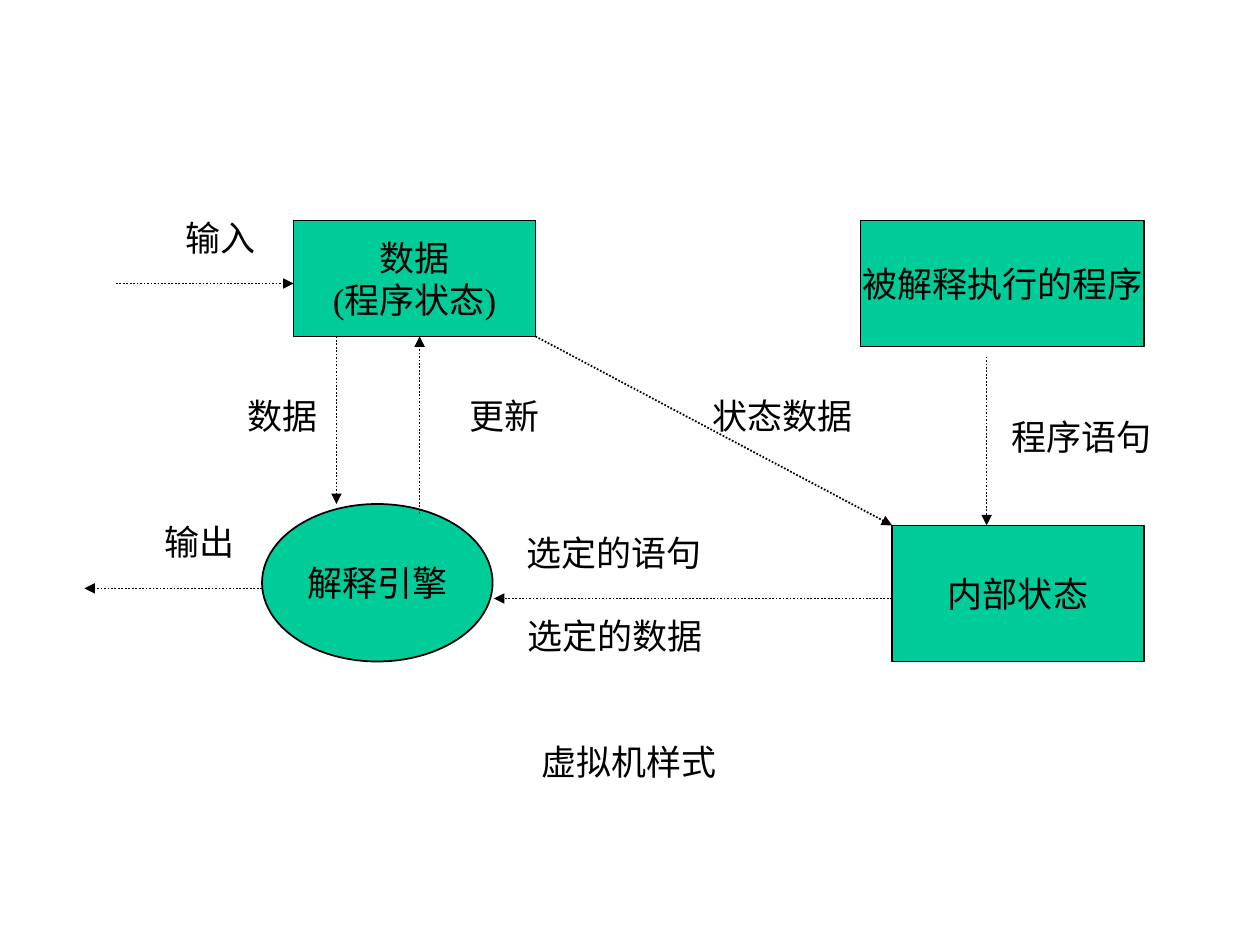
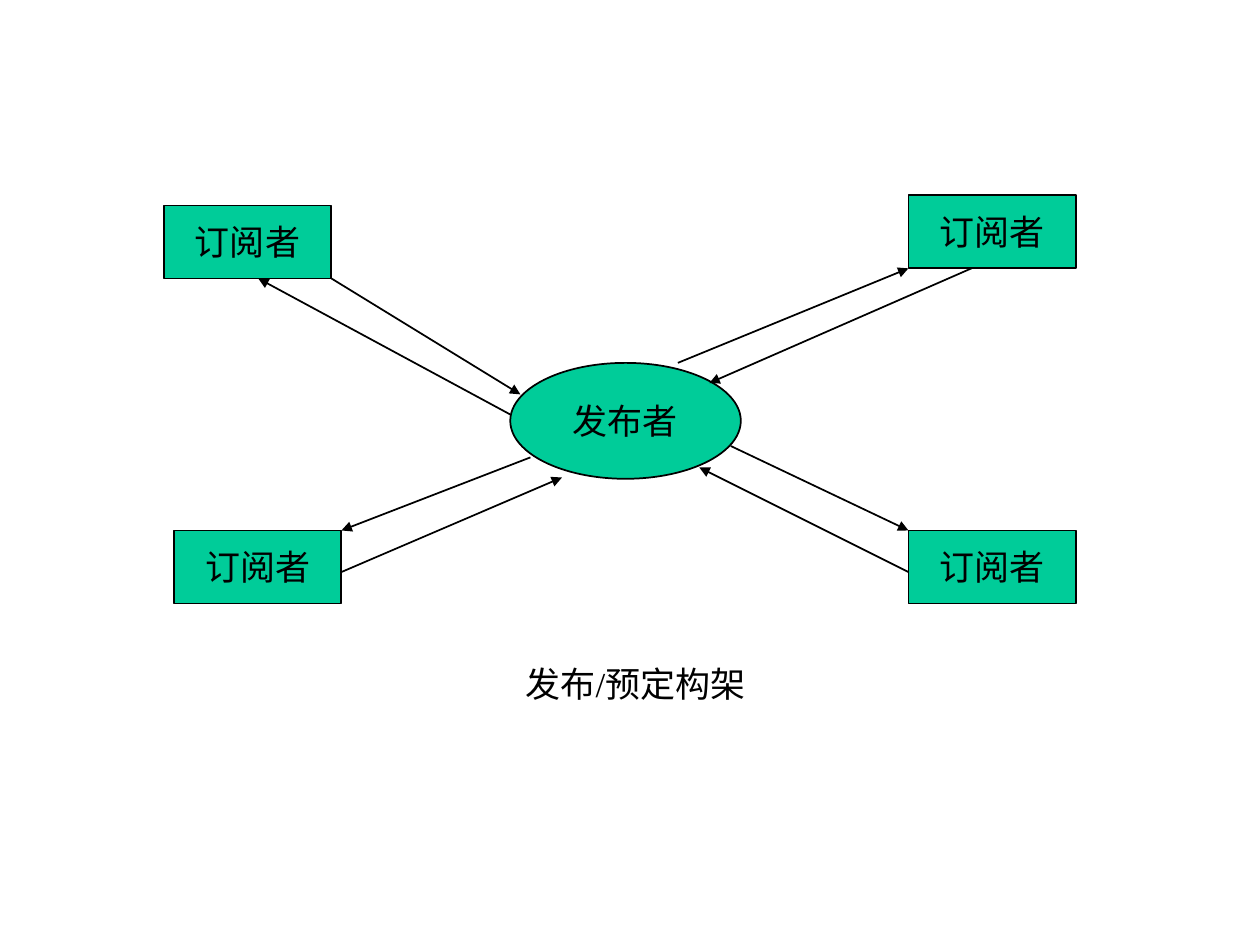
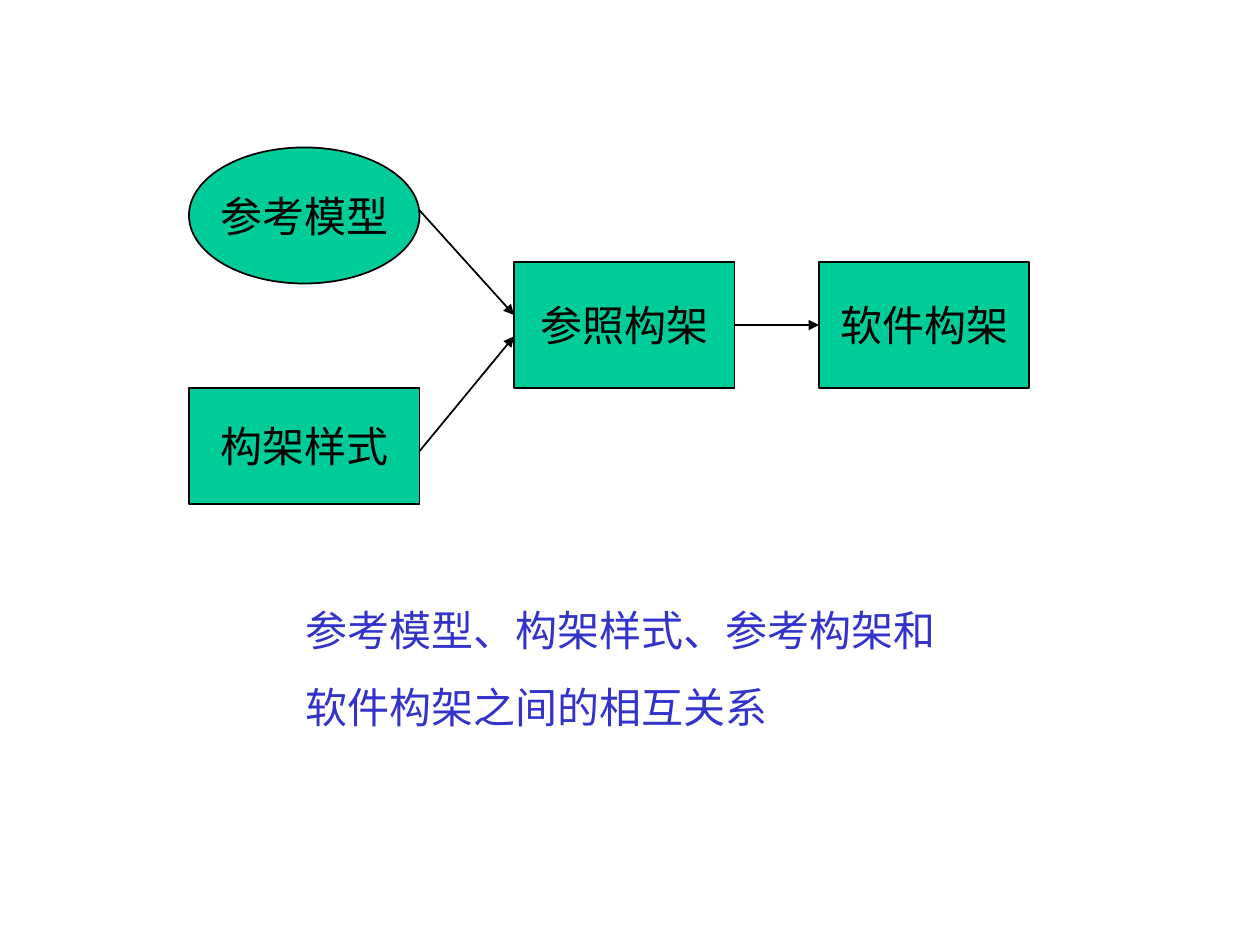
from typing import NamedTuple, Optional

from pptx import Presentation
from pptx.dml.color import RGBColor
from pptx.enum.dml import MSO_LINE
from pptx.enum.shapes import MSO_CONNECTOR, MSO_SHAPE
from pptx.enum.text import MSO_ANCHOR, PP_ALIGN
from pptx.oxml.ns import qn
from pptx.shapes.autoshape import Shape
from pptx.slide import Slide
from pptx.text.text import TextFrame
from pptx.util import Inches, Pt
from lxml.etree import SubElement

GREEN = RGBColor(0x00, 0xCC, 0x99)
BLACK = RGBColor(0x00, 0x00, 0x00)
BLUE = RGBColor(0x33, 0x33, 0xCC)
FONT = "Times New Roman"
LINE_WIDTH = Pt(1)
LABEL_HEIGHT = 0.44
RECT = MSO_SHAPE.RECTANGLE
OVAL = MSO_SHAPE.OVAL
RIGHT_SIDE, LEFT_SIDE = 3, 1


class Node(NamedTuple):
    lines: tuple[str, ...]
    left: float
    top: float
    width: float
    height: float
    outline: MSO_SHAPE = RECT
    size: int = 20


class Label(NamedTuple):
    lines: tuple[str, ...]
    left: float
    top: float
    width: float
    height: float = LABEL_HEIGHT
    size: int = 20
    color: RGBColor = BLACK
    align: PP_ALIGN = PP_ALIGN.CENTER
    gap: float = 0


class Arrow(NamedTuple):
    x1: float
    y1: float
    x2: float
    y2: float


def write(frame: TextFrame, lines: tuple[str, ...], size: int, color: RGBColor,
          align: PP_ALIGN, gap: float = 0) -> None:
    for index, line in enumerate(lines):
        paragraph = frame.add_paragraph() if index else frame.paragraphs[0]
        paragraph.alignment = align
        paragraph.space_before = Pt(gap if index else 0)
        run = paragraph.add_run()
        run.text = line
        run.font.name = FONT
        run.font.size = Pt(size)
        run.font.color.rgb = color


def draw_node(slide: Slide, node: Node) -> Shape:
    shape = slide.shapes.add_shape(node.outline, Inches(node.left), Inches(node.top),
                                   Inches(node.width), Inches(node.height))
    shape.shadow.inherit = False
    shape.fill.solid()
    shape.fill.fore_color.rgb = GREEN
    shape.line.color.rgb = BLACK
    shape.line.width = LINE_WIDTH
    frame = shape.text_frame
    frame.word_wrap = False
    frame.vertical_anchor = MSO_ANCHOR.MIDDLE
    write(frame, node.lines, node.size, BLACK, PP_ALIGN.CENTER)
    return shape


def draw_label(slide: Slide, label: Label) -> None:
    box = slide.shapes.add_textbox(Inches(label.left), Inches(label.top),
                                   Inches(label.width), Inches(label.height))
    box.text_frame.word_wrap = True
    write(box.text_frame, label.lines, label.size, label.color, label.align, label.gap)


def draw_arrow(slide: Slide, arrow: Arrow, dash: Optional[MSO_LINE] = None,
               source: Optional[Shape] = None, target: Optional[Shape] = None) -> None:
    connector = slide.shapes.add_connector(
        MSO_CONNECTOR.STRAIGHT, Inches(arrow.x1), Inches(arrow.y1),
        Inches(arrow.x2), Inches(arrow.y2))
    connector.line.color.rgb = BLACK
    connector.line.width = LINE_WIDTH
    if dash is not None:
        connector.line.dash_style = dash
    properties = connector.line._get_or_add_ln()
    SubElement(properties, qn("a:tailEnd"), type="triangle")
    SubElement(properties.getparent(), qn("a:effectLst"))
    if source is not None:
        connector.begin_connect(source, RIGHT_SIDE)
    if target is not None:
        connector.end_connect(target, LEFT_SIDE)


def build_virtual_machine(slide: Slide) -> None:
    nodes = (
        Node(("数据", "(程序状态)"), 2.33, 1.75, 1.92, 0.92),
        Node(("被解释执行的程序",), 6.83, 1.75, 2.25, 1),
        Node(("内部状态",), 7.08, 4.17, 2, 1.08),
        Node(("解释引擎",), 2.08, 4, 1.83, 1.25, OVAL),
    )
    arrows = (
        Arrow(0.92, 2.25, 2.33, 2.25),
        Arrow(2.08, 4.67, 0.67, 4.67),
        Arrow(7.08, 4.75, 3.92, 4.75),
        Arrow(4.25, 2.67, 7.08, 4.17),
        Arrow(2.67, 2.67, 2.67, 4),
        Arrow(3.33, 4.08, 3.33, 2.67),
        Arrow(7.83, 2.83, 7.83, 4.17),
    )
    labels = (
        Label(("选定的语句",), 4, 4.17, 1.75),
        Label(("选定的数据",), 3.92, 4.83, 1.92),
        Label(("输出",), 1, 4.08, 1.17),
        Label(("输入",), 1.25, 1.67, 1),
        Label(("状态数据",), 5.42, 3.08, 1.58),
        Label(("数据",), 1.83, 3.08, 0.83),
        Label(("更新",), 3.42, 3.08, 1.17),
        Label(("程序语句",), 7.92, 3.25, 1.33),
        Label(("虚拟机样式",), 3.08, 5.83, 3.83),
    )
    for node in nodes:
        draw_node(slide, node)
    for arrow in arrows:
        draw_arrow(slide, arrow, MSO_LINE.ROUND_DOT)
    for label in labels:
        draw_label(slide, label)


def build_publish_subscribe(slide: Slide) -> None:
    draw_node(slide, Node(("发布者",), 4.05, 2.88, 1.83, 0.92, OVAL))
    for left, top in ((1.38, 4.21), (1.3, 1.63), (7.21, 4.21), (7.21, 1.55)):
        draw_node(slide, Node(("订阅者",), left, top, 1.33, 0.58))
    arrows = (
        Arrow(2.63, 2.21, 4.13, 3.13),
        Arrow(4.05, 3.29, 2.05, 2.21),
        Arrow(4.21, 3.63, 2.71, 4.21),
        Arrow(2.71, 4.54, 4.46, 3.79),
        Arrow(5.38, 2.88, 7.21, 2.13),
        Arrow(7.71, 2.13, 5.63, 3.04),
        Arrow(5.8, 3.54, 7.21, 4.21),
        Arrow(7.21, 4.54, 5.55, 3.71),
    )
    for arrow in arrows:
        draw_arrow(slide, arrow)
    draw_label(slide, Label(("发布/预定构架",), 3.38, 5.21, 3.33))


def build_architecture_relations(slide: Slide) -> None:
    draw_node(slide, Node(("参考模型",), 1.5, 1.17, 1.83, 1.08, OVAL, 24))
    draw_node(slide, Node(("构架样式",), 1.5, 3.08, 1.83, 0.92, size=24))
    reference = draw_node(slide, Node(("参照构架",), 4.08, 2.08, 1.75, 1, size=24))
    software = draw_node(slide, Node(("软件构架",), 6.5, 2.08, 1.67, 1, size=24))
    draw_arrow(slide, Arrow(3.33, 1.67, 4.08, 2.5))
    draw_arrow(slide, Arrow(3.33, 3.58, 4.08, 2.67))
    draw_arrow(slide, Arrow(5.83, 2.58, 6.5, 2.58), source=reference, target=software)
    draw_label(slide, Label(("参考模型、构架样式、参考构架和", "软件构架之间的相互关系"),
                            2.33, 4.75, 5.25, 1.11, 24, BLUE, PP_ALIGN.LEFT, 15))


def main() -> None:
    deck = Presentation()
    deck.slide_width = Inches(10)
    deck.slide_height = Inches(7.5)
    blank = deck.slide_layouts[6]
    for build in (build_virtual_machine, build_publish_subscribe,
                  build_architecture_relations):
        build(deck.slides.add_slide(blank))
    deck.save("out.pptx")


if __name__ == "__main__":
    main()
